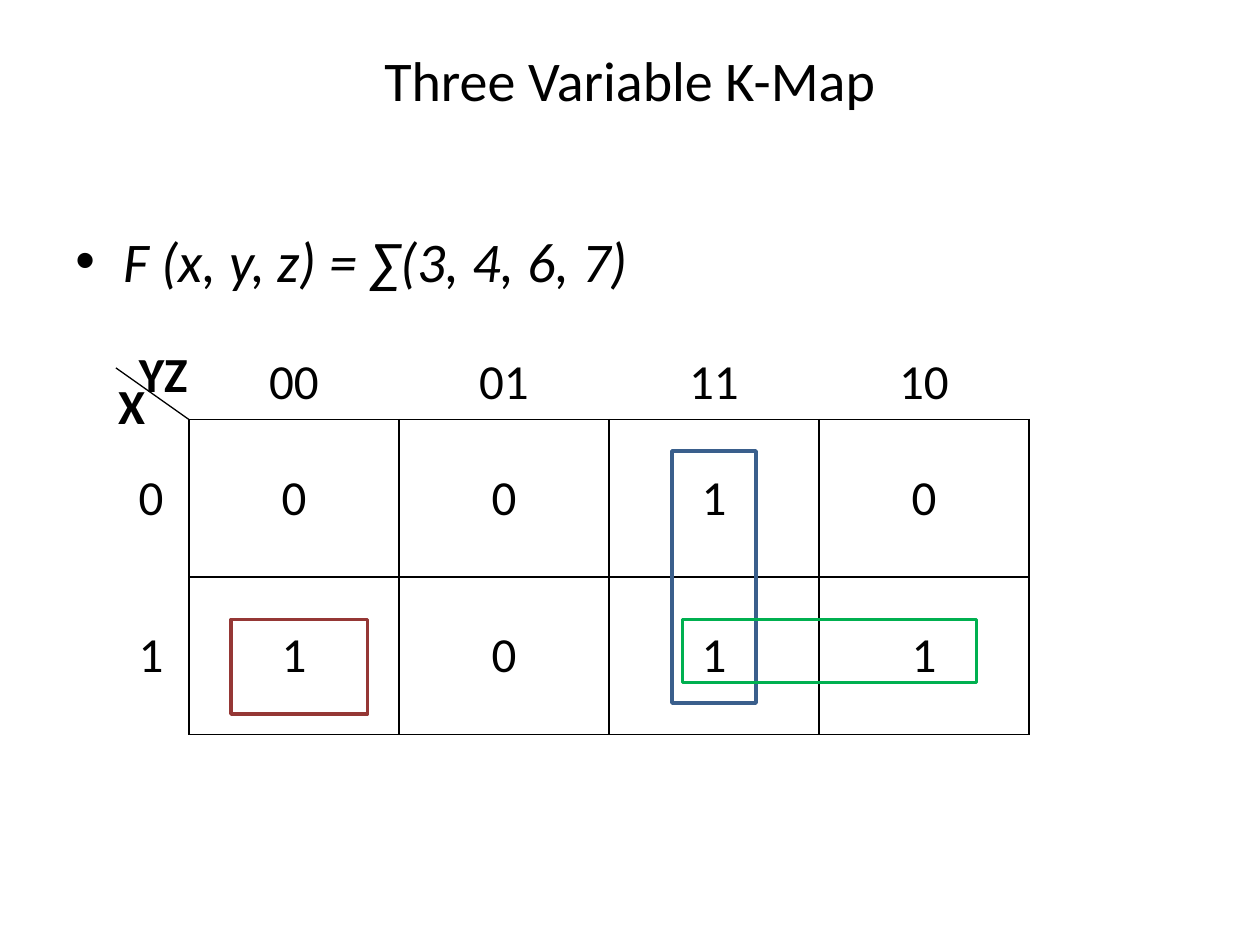
import pptx
import pptx.dml.color
import pptx.enum.shapes
import pptx.enum.text
import pptx.oxml
import pptx.oxml.ns
import pptx.util

IN = pptx.util.Inches
PP = pptx.enum.text.PP_ALIGN
MSO = pptx.enum.text.MSO_ANCHOR
COL, ROW = 5 / 3, 1.25
LABEL_W, LABEL_H = 0.5, 0.57


def rgb(value):
    """Return the colour of a hex string."""
    return pptx.dml.color.RGBColor.from_string(value)


def add_xml(parent, tag, body="", attrs=""):
    """Append one drawing element to a parent element."""
    ns = pptx.oxml.ns.nsdecls("a")
    parent.append(pptx.oxml.parse_xml(f"<a:{tag} {ns} {attrs}>{body}</a:{tag}>"))


def write(p, text, align=PP.CENTER, **fmt):
    """Write a formatted run into a paragraph."""
    p.alignment = align
    r = p.add_run()
    r.text = text
    for name, value in {"name": "Calibri", "size": pptx.util.Pt(28), **fmt}.items():
        setattr(r.font, name, value)
    r.font.color.rgb = rgb("000000")


def text_box(s, box, text, anchor=MSO.MIDDLE, bullet=False, **fmt):
    """Place a wrapped text box with one paragraph."""
    tf = s.shapes.add_textbox(*map(IN, box)).text_frame
    tf.word_wrap, tf.vertical_anchor = True, anchor
    p = tf.paragraphs[0]
    if bullet:
        pPr = p._p.get_or_add_pPr()
        for name, value in (("marL", 0.38), ("indent", -0.38)):
            pPr.set(name, str(int(IN(value))))
        add_xml(pPr, "buFont", attrs='typeface="Arial"')
        add_xml(pPr, "buChar", attrs='char="•"')
    write(p, text, **fmt)


def grid(s, box, rows, border=False, anchor=MSO.MIDDLE, align=PP.CENTER):
    """Place an unfilled table of equal cells, with or without borders."""
    x, y, w, h = box
    table = s.shapes.add_table(len(rows), len(rows[0]), *map(IN, box)).table
    table.first_row = table.horz_banding = False
    line = '<a:solidFill><a:srgbClr val="000000"/></a:solidFill>' if border else "<a:noFill/>"
    for i, row in enumerate(rows):
        table.rows[i].height = IN(h / len(rows))
        for j, text in enumerate(row):
            table.columns[j].width = IN(w / len(row))
            cell = table.cell(i, j)
            cell.vertical_anchor = anchor
            for side in ("lnL", "lnR", "lnT", "lnB"):
                add_xml(cell._tc.get_or_add_tcPr(), side, line, 'w="12700"')
            cell.fill.background()
            write(cell.text_frame.paragraphs[0], text, align)


def corner(s, x, y):
    """Place the slanted divider and variable names at the map's corner."""
    c = s.shapes.add_connector(pptx.enum.shapes.MSO_CONNECTOR.STRAIGHT,
                               IN(x - 0.58), IN(y - 0.41), IN(x), IN(y))
    c.line.color.rgb = rgb("000000")
    c.line.width = pptx.util.Pt(0.75)
    add_xml(c._element.spPr, "effectLst")
    for text, dx, dy in (("YZ", -0.58, -0.66), ("X", -0.83, -0.41)):
        text_box(s, (x + dx, y + dy, 0.75, 0.58), text, bold=True)


def group(s, x, y, box, color):
    """Outline a group of ones, its box given in columns and rows."""
    left, top, w, h = box
    sp = s.shapes.add_shape(pptx.enum.shapes.MSO_SHAPE.RECTANGLE, IN(x + left * COL),
                            IN(y + top * ROW), IN(w * COL), IN(h * ROW))
    sp.shadow.inherit = False
    sp.fill.background()
    sp.line.color.rgb = rgb(color)
    sp.line.width = pptx.util.Pt(2)


def k_map(s, x, y):
    """Place the Karnaugh map with its top left cell corner at x, y."""
    grid(s, (x, y, 4 * COL, 2 * ROW), ["0010", "1011"], border=True)
    corner(s, x, y)
    grid(s, (x, y - 0.58, 4 * COL, LABEL_H), [["00", "01", "11", "10"]], anchor=MSO.TOP)
    grid(s, (x - LABEL_W, y, LABEL_W, 2 * ROW), ["0", "1"], align=PP.LEFT)
    for box, color in (((2.3, 0.2, 0.4, 1.6), "3A5F8C"),
                       ((2.35, 1.27, 1.4, 0.4), "00B050"),
                       ((0.2, 1.27, 0.65, 0.6), "953735")):
        group(s, x, y, box, color)


def main():
    """Build the slide and save it."""
    prs = pptx.Presentation()
    prs.slide_width, prs.slide_height = IN(10), IN(7.5)
    s = prs.slides.add_slide(prs.slide_layouts[6])
    size = pptx.util.Pt(32)
    text_box(s, (0.5, 0, 9, 1.25), "Three Variable K-Map", size=size)
    text_box(s, (0.5, 1.75, 9, 4.95), "F (x, y, z) = ∑(3, 4, 6, 7)", anchor=MSO.TOP,
             bullet=True, align=PP.LEFT, size=size, italic=True)
    k_map(s, 1.5, 3.33)
    prs.save("out.pptx")


if __name__ == "__main__":
    main()
